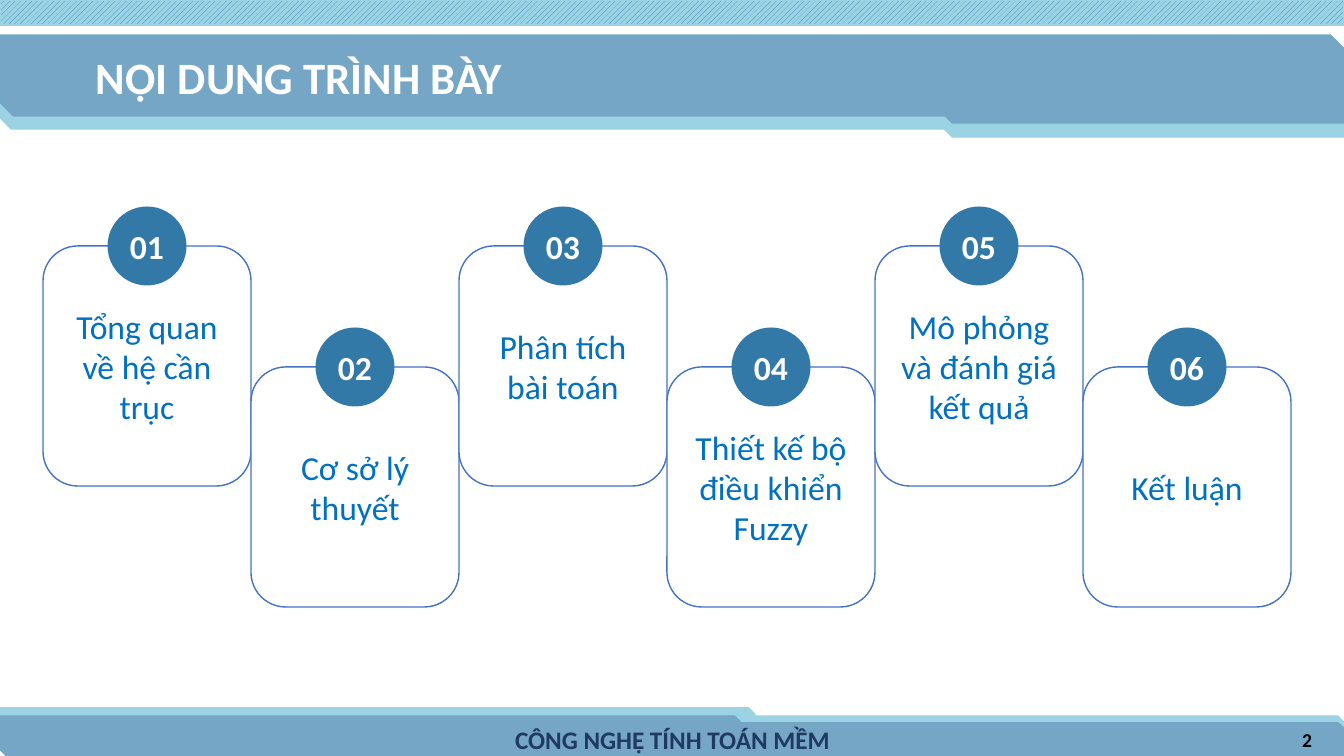
"""Build the agenda slide: six numbered cards in two staggered rows."""
from pptx import Presentation
from pptx import util as u
from pptx.dml.color import RGBColor
from pptx.enum import dml, shapes, text

COLORS = {
    "light": "9BD3E5", "band": "75A6C5", "badge": "3379A7", "outline": "4472C4",
    "card_text": "0070C0", "footer": "203864", "white": "FFFFFF", "black": "000000",
}
FONT = "Calibri"
EMU_PER_PX = 914400 / 100.8
SLIDE_SIZE = (1344, 756)

STRIPE = (0, 0, 1344, 25)
BANDS = [
    ((567, 716, 777, 38), "light", 1),
    ((0, 708, 755, 38), "light", 1),
    ((628, 723, 716, 33), "band", 1),
    ((0, 716, 741, 40), "band", 1),
    ((939, 58, 405, 79), "light", 0.75),
    ((0, 62, 1344, 67), "light", 1),
    ((0, 35, 1344, 81), "band", 1),
    ((939, 44, 405, 79), "band", 0.75),
]
LABELS = [
    ("CÔNG NGHỆ TÍNH TOÁN MỀM", (471, 719, 403, 40), "CENTER", "MIDDLE",
     {"size": 18, "bold": True, "color": "footer"}),
    ("2", (1020, 720, 302, 40), "RIGHT", "MIDDLE",
     {"size": 14, "bold": True, "color": "black"}),
    ("NỘI DUNG TRÌNH BÀY", (86, 45, 669, 65), "LEFT", "TOP",
     {"size": 32, "bold": True, "color": "white"}),
]
TOPICS = [
    "Tổng quan về hệ cần trục", "Cơ sở lý thuyết", "Phân tích bài toán",
    "Thiết kế bộ điều khiển Fuzzy", "Mô phỏng và đánh giá kết quả", "Kết luận",
]
CARD_FORMAT = {"size": 24, "bold": False, "color": "card_text"}
BADGE_FORMAT = {"size": 24, "bold": True, "color": "white"}
CARD_LEFT, CARD_TOP, CARD_WIDTH, CARD_HEIGHT = 43, 246, 208, 240
ROW_STEP, BADGE = 121, 79


def px(*lengths):
    return [u.Emu(round(length * EMU_PER_PX)) for length in lengths]


def color(name):
    return RGBColor.from_string(COLORS[name])


def write(shape, words, align, anchor, style):
    frame = shape.text_frame
    frame.word_wrap = True
    frame.vertical_anchor = getattr(text.MSO_ANCHOR, anchor)
    paragraph = frame.paragraphs[0]
    paragraph.alignment = getattr(text.PP_ALIGN, align)
    run = paragraph.add_run()
    run.text = words
    settings = {"name": FONT, "size": u.Pt(style["size"]), "bold": style["bold"]}
    for attribute, value in settings.items():
        setattr(run.font, attribute, value)
    run.font.color.rgb = color(style["color"])


def add_shape(parent, kind, box, fill, line=None, width=1):
    shape = parent.shapes.add_shape(getattr(shapes.MSO_SHAPE, kind), *px(*box))
    shape.shadow.inherit = False
    shape.fill.solid()
    shape.fill.fore_color.rgb = color(fill)
    if line:
        shape.line.color.rgb = color(line)
        shape.line.width = u.Pt(width)
    else:
        shape.line.fill.background()
    return shape


def add_frame(slide):
    for box, fill, width in BANDS:
        add_shape(slide, "SNIP_2_DIAG_RECTANGLE", box, fill, fill, width)
    stripe = add_shape(slide, "RECTANGLE", STRIPE, "light", "light")
    stripe.fill.patterned()
    stripe.fill.pattern = dml.MSO_PATTERN.WIDE_UPWARD_DIAGONAL
    stripe.fill.fore_color.rgb = color("badge")
    stripe.fill.back_color.rgb = color("light")
    for words, box, align, anchor, style in LABELS:
        write(slide.shapes.add_textbox(*px(*box)), words, align, anchor, style)


def add_card(slide, index, topic):
    left = CARD_LEFT + index * CARD_WIDTH
    top = CARD_TOP + index % 2 * ROW_STEP
    group = slide.shapes.add_group_shape()
    card = add_shape(group, "ROUNDED_RECTANGLE",
                     (left, top, CARD_WIDTH, CARD_HEIGHT), "white", "outline")
    write(card, topic, "CENTER", "MIDDLE", CARD_FORMAT)
    badge_box = (left + (CARD_WIDTH - BADGE) / 2, top - BADGE / 2, BADGE, BADGE)
    badge = add_shape(group, "OVAL", badge_box, "badge")
    write(badge, f"{index + 1:02d}", "CENTER", "MIDDLE", BADGE_FORMAT)


def main():
    presentation = Presentation()
    presentation.slide_width, presentation.slide_height = px(*SLIDE_SIZE)
    slide = presentation.slides.add_slide(presentation.slide_layouts[6])
    add_frame(slide)
    for index, topic in enumerate(TOPICS):
        add_card(slide, index, topic)
    presentation.save("out.pptx")


if __name__ == "__main__":
    main()
